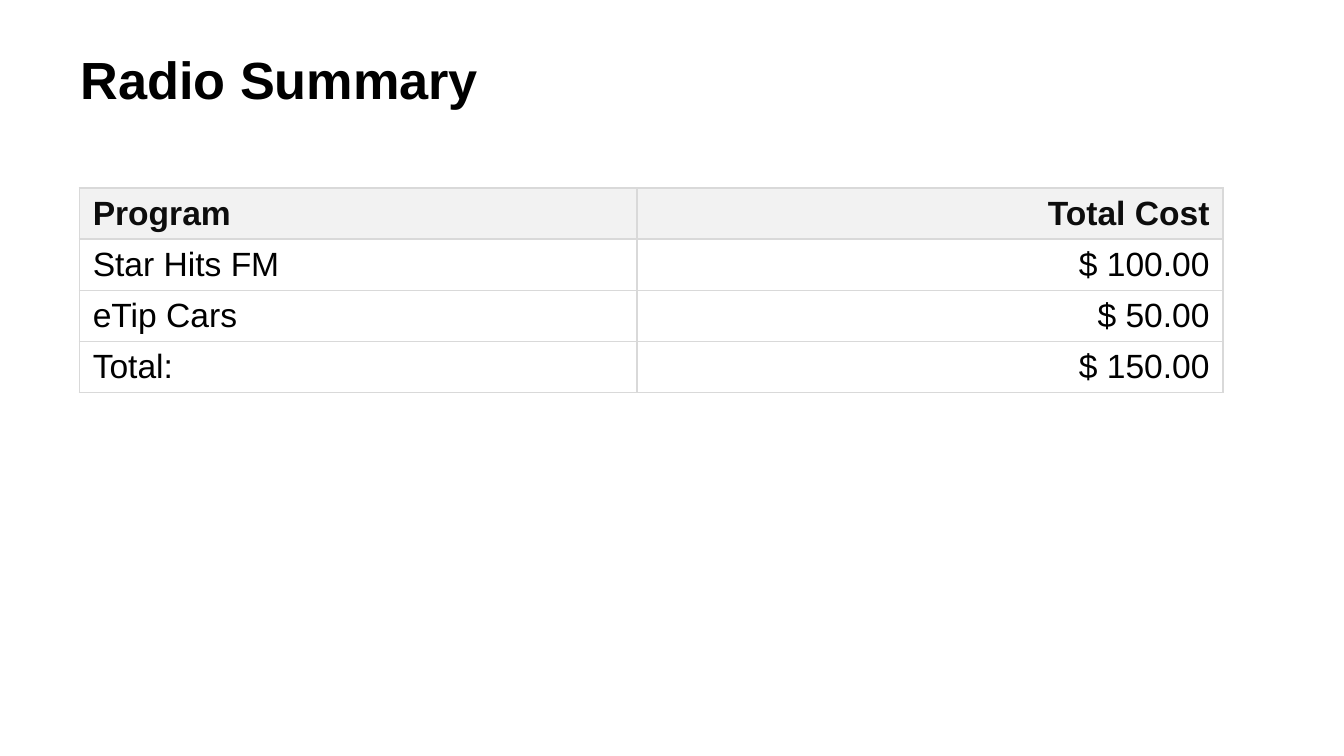
from lxml.etree import SubElement
from pptx import Presentation
from pptx.dml.color import RGBColor
from pptx.enum.text import MSO_ANCHOR as Anchor, PP_ALIGN as Align
from pptx.oxml.ns import qn
from pptx.util import Inches, Pt

ROWS = [
    ("Program", "Total Cost"),
    ("Star Hits FM", "$ 100.00"),
    ("eTip Cars", "$ 50.00"),
    ("Total:", "$ 150.00"),
]
COLUMN_WIDTHS = (4.15, 4.36)


def color(value):
    """Return the colour for a hex string."""
    return RGBColor.from_string(value)


def add_run(paragraph, text, size, hex_color, bold=False):
    """Add one formatted run to a paragraph."""
    run = paragraph.add_run()
    run.text = text
    run.font.name = "Arial"
    run.font.size = Pt(size)
    run.font.bold = bold
    run.font.color.rgb = color(hex_color)


def set_borders(cell, hex_color, width):
    """Draw a thin line on all four sides of a cell."""
    properties = cell._tc.get_or_add_tcPr()
    for position, side in enumerate(("lnL", "lnR", "lnT", "lnB")):
        line = SubElement(properties, qn(f"a:{side}"), w=str(Pt(width)))
        fill = SubElement(line, qn("a:solidFill"))
        SubElement(fill, qn("a:srgbClr"), val=hex_color)
        properties.insert(position, line)


def place_title(slide, text, left, top, width, height):
    """Place the slide title in the given box."""
    title = slide.shapes.title
    title.left, title.top = Inches(left), Inches(top)
    title.width, title.height = Inches(width), Inches(height)
    frame = title.text_frame
    frame.vertical_anchor = Anchor.TOP
    paragraph = frame.paragraphs[0]
    paragraph.alignment = Align.LEFT
    add_run(paragraph, text, 28, "000000", bold=True)


def place_cost_table(slide, rows, left, top, height):
    """Place the cost table at the given position and height."""
    frame = slide.shapes.add_table(
        len(rows), len(COLUMN_WIDTHS),
        Inches(left), Inches(top), Inches(sum(COLUMN_WIDTHS)), Inches(height),
    )
    table = frame.table
    for column, width in zip(table.columns, COLUMN_WIDTHS):
        column.width = Inches(width)
    for row_index, values in enumerate(rows):
        is_header = row_index == 0
        for column_index, value in enumerate(values):
            cell = table.cell(row_index, column_index)
            cell.fill.solid()
            cell.fill.fore_color.rgb = color("F2F2F2" if is_header else "FFFFFF")
            cell.vertical_anchor = Anchor.MIDDLE if is_header else Anchor.TOP
            set_borders(cell, "D9D9D9", 1)
            paragraph = cell.text_frame.paragraphs[0]
            paragraph.alignment = Align.RIGHT if column_index else Align.LEFT
            add_run(paragraph, value, 18, "0D0D0D" if is_header else "000000", is_header)


def main():
    """Build and save the radio summary slide."""
    presentation = Presentation()
    presentation.slide_width = Inches(10)
    presentation.slide_height = presentation.slide_width * 9 // 16
    slide = presentation.slides.add_slide(presentation.slide_layouts[5])
    place_title(slide, "Radio Summary", 0.5, 0.3, 9, 1.09)
    place_cost_table(slide, ROWS, 0.59, 1.4, 1.4)
    presentation.save("out.pptx")


if __name__ == "__main__":
    main()
